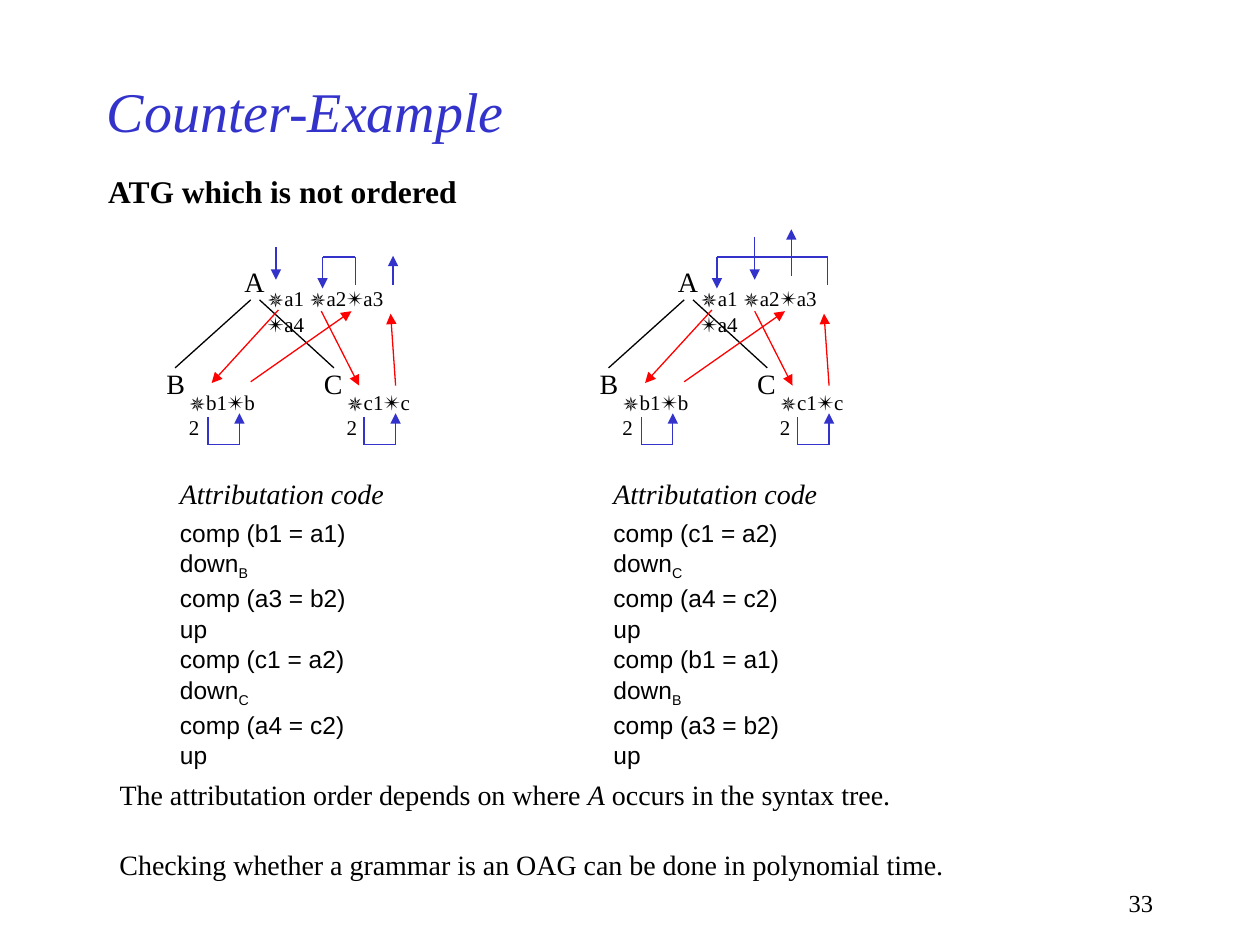
from dataclasses import dataclass

from lxml import etree
from pptx import Presentation
from pptx.dml.color import RGBColor
from pptx.enum import shapes, text
from pptx.oxml.ns import qn
from pptx.util import Inches, Pt


@dataclass(frozen=True)
class Theme:
    serif: str = "Times New Roman"
    sans: str = "Arial"
    ink: RGBColor = RGBColor(0x00, 0x00, 0x00)
    blue: RGBColor = RGBColor(0x33, 0x33, 0xCC)
    red: RGBColor = RGBColor(0xFF, 0x00, 0x00)
    title: int = 32
    subtitle: int = 18
    body: int = 16
    code: int = 14
    attribute: int = 12
    line: float = 0.75


THEME = Theme()


@dataclass(frozen=True)
class Span:
    text: str
    size: int = THEME.body
    font: str = THEME.serif
    color: RGBColor = THEME.ink
    bold: bool = False
    italic: bool = False
    subscript: bool = False


@dataclass(frozen=True)
class Box:
    left: float
    top: float
    width: float
    height: float


@dataclass(frozen=True)
class Edge:
    x1: float
    y1: float
    x2: float
    y2: float
    color: RGBColor
    arrow: bool = True


@dataclass(frozen=True)
class Node:
    name: str
    name_box: Box
    attributes: str
    attributes_box: Box


@dataclass(frozen=True)
class Visit:
    computed: str
    child: str


@dataclass(frozen=True)
class Example:
    """One tree: its shift to the right, its outer dependencies and its visits."""
    shift: float
    incoming: Edge
    outgoing: Edge
    bridge: tuple[float, float]
    visits: tuple[Visit, Visit]


NODES = (
    Node("A", Box(1.94, 2.1, 0.16, 0.27), "✵a1 ✵a2✴a3 ✴a4", Box(2.12, 2.27, 1.12, 0.2)),
    Node("B", Box(1.32, 2.91, 0.15, 0.27), "✵b1✴b2", Box(1.5, 3.09, 0.53, 0.2)),
    Node("C", Box(2.57, 2.91, 0.15, 0.27), "✵c1✴c2", Box(2.75, 3.09, 0.52, 0.2)),
)
TREE_EDGES = (
    Edge(1.39, 2.92, 1.99, 2.38, THEME.ink, arrow=False),
    Edge(2.65, 2.92, 2.06, 2.38, THEME.ink, arrow=False),
    Edge(2.21, 2.46, 1.68, 3.04, THEME.red),
    Edge(1.99, 3.03, 2.79, 2.47, THEME.red),
    Edge(2.55, 2.47, 2.85, 3.06, THEME.red),
    Edge(3.14, 3.06, 3.1, 2.49, THEME.red),
)
LOOP_STARTS = (1.65, 2.89)
LOOP_WIDTH = 0.25

VISIT_B = (Visit("b1 = a1", "B"), Visit("a3 = b2", ""))
VISIT_C = (Visit("c1 = a2", "C"), Visit("a4 = c2", ""))
EXAMPLES = (
    Example(0, Edge(2.19, 1.96, 2.19, 2.22, THEME.blue),
            Edge(3.12, 2.26, 3.12, 2.03, THEME.blue), (2.82, 2.56), VISIT_B + VISIT_C),
    Example(3.44, Edge(2.55, 1.88, 2.55, 2.22, THEME.blue),
            Edge(2.84, 2.19, 2.84, 1.82, THEME.blue), (3.13, 2.25), VISIT_C + VISIT_B),
)


def add_text(slide, box: Box, lines: list[list[Span]], shift: float = 0,
             inset: tuple[float, float] = (0.1, 0.05), wrap: bool = False,
             align=text.PP_ALIGN.LEFT, anchor=text.MSO_ANCHOR.TOP):
    frame = slide.shapes.add_textbox(Inches(box.left + shift), Inches(box.top),
                                     Inches(box.width), Inches(box.height)).text_frame
    frame.word_wrap = wrap
    frame.vertical_anchor = anchor
    frame.margin_left = frame.margin_right = Inches(inset[0])
    frame.margin_top = frame.margin_bottom = Inches(inset[1])
    for index, spans in enumerate(lines):
        paragraph = frame.add_paragraph() if index else frame.paragraphs[0]
        paragraph.alignment = align
        for span in spans:
            run = paragraph.add_run()
            run.text = span.text
            font = run.font
            font.name, font.size = span.font, Pt(span.size)
            font.bold, font.italic = span.bold, span.italic
            font.color.rgb = span.color
            if span.subscript:
                run._r.get_or_add_rPr().set("baseline", "-25000")
    return frame


def add_edge(slide, edge: Edge, shift: float) -> None:
    connector = slide.shapes.add_connector(
        shapes.MSO_CONNECTOR.STRAIGHT, Inches(edge.x1 + shift), Inches(edge.y1),
        Inches(edge.x2 + shift), Inches(edge.y2))
    connector.line.color.rgb = edge.color
    connector.line.width = Pt(THEME.line)
    if edge.arrow:
        etree.SubElement(connector.line._get_or_add_ln(), qn("a:tailEnd"), type="triangle")
    etree.SubElement(connector._element.spPr, qn("a:effectLst"))


def bracket(x1: float, x2: float, start: float, across: float, end: float) -> list[Edge]:
    """Three-part path from (x1, start) over the level across to an arrow at (x2, end)."""
    return [Edge(x1, start, x1, across, THEME.blue, arrow=False),
            Edge(x1, across, x2, across, THEME.blue, arrow=False),
            Edge(x2, across, x2, end, THEME.blue)]


def add_tree(slide, example: Example) -> None:
    for node in NODES:
        add_text(slide, node.name_box, [[Span(node.name)]], example.shift, (0, 0))
        add_text(slide, node.attributes_box, [[Span(node.attributes, THEME.attribute)]],
                 example.shift, (0, 0), wrap=True)
    edges = [*TREE_EDGES, example.incoming, example.outgoing,
             *bracket(*example.bridge, 2.26, 2.04, 2.29)]
    for x in LOOP_STARTS:
        edges += bracket(x, x + LOOP_WIDTH, 3.31, 3.53, 3.28)
    for edge in edges:
        add_edge(slide, edge, example.shift)


def add_code(slide, example: Example) -> None:
    def code(words: str, subscript: bool = False) -> Span:
        return Span(words, THEME.code, THEME.sans, subscript=subscript)

    lines = [[Span("Attributation code", italic=True)]]
    for visit in example.visits:
        lines.append([code(f"comp ({visit.computed})")])
        lines.append([code("down"), code(visit.child, True)] if visit.child else [code("up")])
    frame = add_text(slide, Box(1.33, 3.73, 1.83, 2.28), lines, example.shift)
    heading, *steps = frame.paragraphs
    heading.space_after = Pt(4.5)
    for step in steps:
        step.space_after = Pt(0.7)


def main() -> None:
    deck = Presentation()
    deck.slide_width, deck.slide_height = Inches(10), Inches(7.5)
    slide = deck.slides.add_slide(deck.slide_layouts[6])
    add_text(slide, Box(7.17, 7, 2.08, 0.33), [[Span("33", THEME.code)]], wrap=True,
             align=text.PP_ALIGN.RIGHT, anchor=text.MSO_ANCHOR.MIDDLE)
    add_text(slide, Box(0.75, 0.5, 7.5, 0.75),
             [[Span("Counter-Example", THEME.title, color=THEME.blue, italic=True)]],
             wrap=True, anchor=text.MSO_ANCHOR.MIDDLE)
    add_text(slide, Box(0.76, 1.32, 2.99, 0.4),
             [[Span("ATG which is not ordered", THEME.subtitle, bold=True)]])
    for example in EXAMPLES:
        add_tree(slide, example)
        add_code(slide, example)
    add_text(slide, Box(0.85, 6.12, 6.35, 0.37),
             [[Span("The attributation order depends on where "), Span("A", italic=True),
               Span(" occurs in the syntax tree.")]])
    add_text(slide, Box(0.85, 6.68, 6.77, 0.37),
             [[Span("Checking whether a grammar is an OAG can be done in polynomial time.")]])
    deck.save("out.pptx")


if __name__ == "__main__":
    main()
